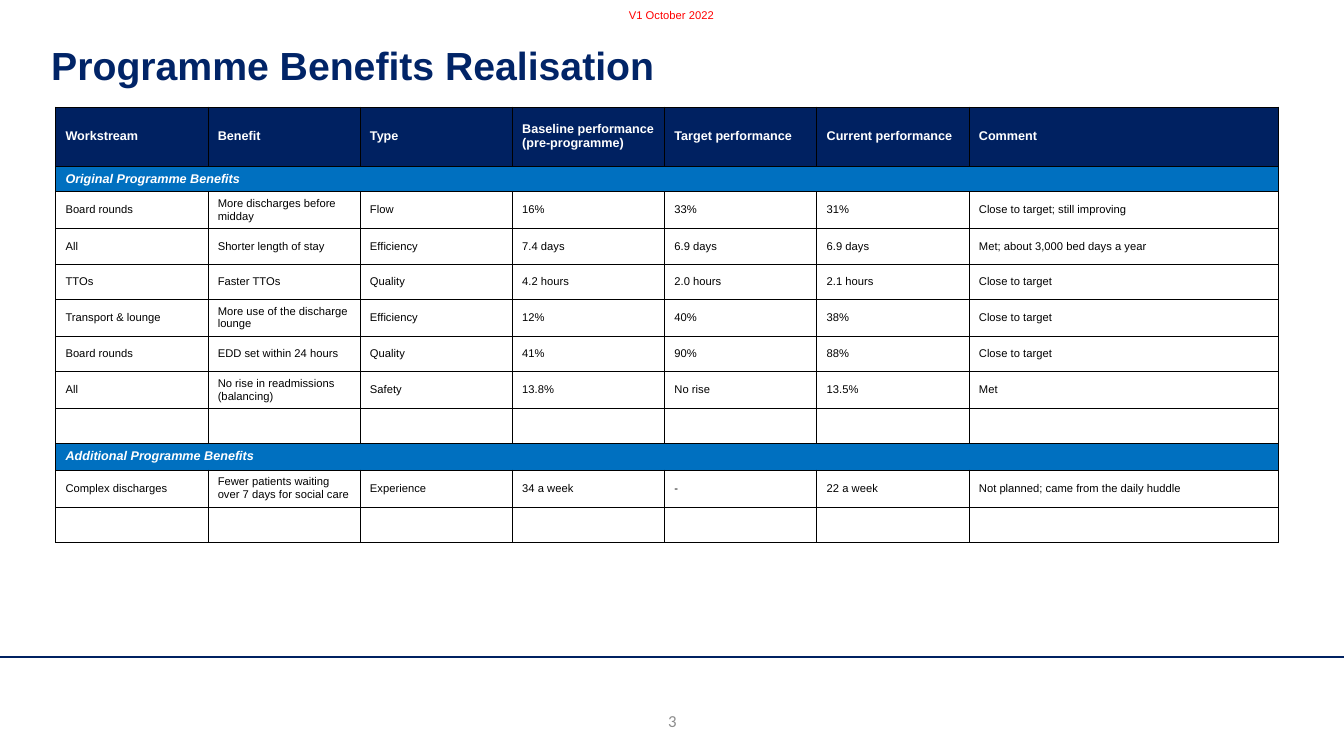
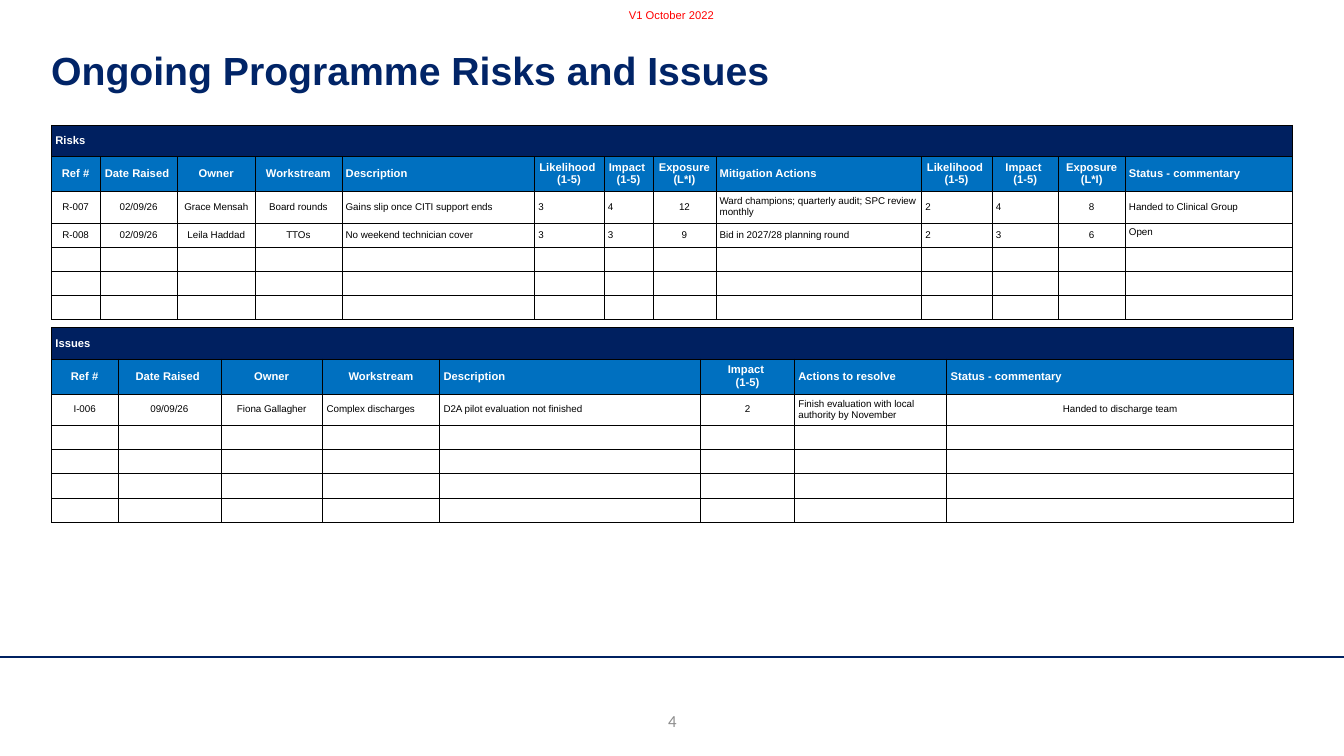
"""Build the programme benefits slide and the risks and issues slide."""
import pptx
import pptx.dml.color
import pptx.enum.shapes
import pptx.enum.text
import pptx.oxml
import pptx.oxml.ns
import pptx.util
from lxml import etree

Inches, Pt = pptx.util.Inches, pptx.util.Pt
RGB = pptx.dml.color.RGBColor
ALIGN = pptx.enum.text.PP_ALIGN
ANCHOR = pptx.enum.text.MSO_ANCHOR
qn = pptx.oxml.ns.qn

NAVY = RGB(0x00, 0x21, 0x61)
DEEP = RGB(0x00, 0x20, 0x60)
INK = RGB(0x01, 0x24, 0x67)
BLUE = RGB(0x00, 0x70, 0xC0)
WHITE = RGB(0xFF, 0xFF, 0xFF)
BLACK = RGB(0x00, 0x00, 0x00)
GREY = RGB(0x8C, 0x8C, 0x8C)
RED = RGB(0xFF, 0x00, 0x00)
SIDES = {"l": ALIGN.LEFT, "c": ALIGN.CENTER}

STYLES = {
    "head": (NAVY, WHITE, 9, True, False),
    "part": (BLUE, WHITE, 9, True, True),
    "body": (WHITE, BLACK, 8, False, False),
    "bar": (DEEP, WHITE, 8, True, False),
    "cols": (BLUE, WHITE, 8, True, False),
    "log": (WHITE, BLACK, 7, False, False),
}

GAINS = {
    "at": (0.55, 1.06),
    "cols": [1.51] * 6 + [3.07],
    "pad": (0.1, 0.05),
    "align": {},
    "rows": [
        ("head", 0.59, ["Workstream", "Benefit", "Type", "Baseline performance (pre-programme)",
                        "Target performance", "Current performance", "Comment"]),
        ("part", 0.24, ["Original Programme Benefits"]),
        ("body", 0.35, ["Board rounds", "More discharges before midday", "Flow",
                        "16%", "33%", "31%", "Close to target; still improving"]),
        ("body", 0.35, ["All", "Shorter length of stay", "Efficiency",
                        "7.4 days", "6.9 days", "6.9 days", "Met; about 3,000 bed days a year"]),
        ("body", 0.35, ["TTOs", "Faster TTOs", "Quality",
                        "4.2 hours", "2.0 hours", "2.1 hours", "Close to target"]),
        ("body", 0.35, ["Transport & lounge", "More use of the discharge lounge", "Efficiency",
                        "12%", "40%", "38%", "Close to target"]),
        ("body", 0.35, ["Board rounds", "EDD set within 24 hours", "Quality",
                        "41%", "90%", "88%", "Close to target"]),
        ("body", 0.35, ["All", "No rise in readmissions (balancing)", "Safety",
                        "13.8%", "No rise", "13.5%", "Met"]),
        ("body", 0.35, [""] * 7),
        ("part", 0.26, ["Additional Programme Benefits"]),
        ("body", 0.35, ["Complex discharges", "Fewer patients waiting over 7 days for social care",
                        "Experience", "34 a week", "-", "22 a week",
                        "Not planned; came from the daily huddle"]),
        ("body", 0.35, [""] * 7),
    ],
}

SCORES = ["Likelihood \n(1-5)", "Impact \n(1-5)", "Exposure\n(L*I)"]
START = ["Ref #", "Date Raised ", "Owner", "Workstream", "Description"]

RISKS = {
    "at": (0.51, 1.24),
    "cols": [0.48, 0.77, 0.77, 0.86, 1.91, 0.69, 0.49, 0.62, 2.04, 0.7, 0.66, 0.66, 1.66],
    "pad": (0.04, 0.04),
    "align": {"cols": "cccclccclcccl", "log": "cccclllclllcl"},
    "top": (3, 12),
    "rows": [
        ("bar", 0.31, ["Risks"]),
        ("cols", 0.33, START + SCORES + ["Mitigation Actions"] + SCORES + ["Status - commentary"]),
        ("log", 0.3, ["R-007", "02/09/26", "Grace Mensah", "Board rounds",
                      "Gains slip once CITI support ends", "3", "4", "12",
                      "Ward champions; quarterly audit; SPC review monthly",
                      "2", "4", "8", "Handed to Clinical Group"]),
        ("log", 0.24, ["R-008", "02/09/26", "Leila Haddad", "TTOs",
                       "No weekend technician cover", "3", "3", "9",
                       "Bid in 2027/28 planning round", "2", "3", "6", "Open"]),
    ] + [("log", 0.24, [""] * 13)] * 3,
}

ISSUES = {
    "at": (0.51, 3.25),
    "cols": [0.66, 1.02, 1.01, 1.16, 2.59, 0.93, 1.51, 3.44],
    "pad": (0.04, 0.04),
    "align": {"cols": "cccclcll", "log": "cccllclc"},
    "rows": [
        ("bar", 0.31, ["Issues"]),
        ("cols", 0.33, START + [SCORES[1], "Actions to resolve", "Status - commentary"]),
        ("log", 0.3, ["I-006", "09/09/26", "Fiona Gallagher", "Complex discharges",
                      "D2A pilot evaluation not finished", "2",
                      "Finish evaluation with local authority by November",
                      "Handed to discharge team"]),
    ] + [("log", 0.24, [""] * 8)] * 4,
}

SLIDES = [
    ("Programme Benefits Realisation", (0.41, 0.29, 11.85, 0.77), "3", [GAINS]),
    ("Ongoing Programme Risks and Issues", (0.41, 0.38, 11.85, 0.68), "4", [RISKS, ISSUES]),
]


def style(para, size, color, bold=False, italic=False, face="Arial"):
    for run in para.runs:
        font = run.font
        font.name, font.size = face, Pt(size)
        font.bold, font.italic = bold, italic
        font.color.rgb = color


def label(slide, box, text, size, color, align="c", anchor=ANCHOR.MIDDLE, **look):
    frame = slide.shapes.add_textbox(*map(Inches, box)).text_frame
    frame.word_wrap = True
    frame.vertical_anchor = anchor
    frame.text = text
    para = frame.paragraphs[0]
    para.alignment = SIDES[align]
    style(para, size, color, **look)
    return para


def rule(slide):
    line = slide.shapes.add_connector(pptx.enum.shapes.MSO_CONNECTOR.STRAIGHT,
                                      0, Inches(6.52), Inches(13.33), Inches(6.52))
    line.line.color.rgb = NAVY
    line.line.width = Pt(1)
    etree.SubElement(line._element.spPr, qn("a:effectLst"))


def border(cell):
    props = cell._tc.get_or_add_tcPr()
    for spot, side in enumerate("LRTB"):
        edge = etree.Element(qn("a:ln" + side), w=str(Pt(0.25)))
        fill = etree.SubElement(edge, qn("a:solidFill"))
        etree.SubElement(fill, qn("a:srgbClr"), val=str(BLACK))
        props.insert(spot, edge)


def fill_cell(cell, text, kind, align, anchor, pad):
    back, color, size, bold, italic = STYLES[kind]
    cell.fill.solid()
    cell.fill.fore_color.rgb = back
    border(cell)
    cell.margin_left = cell.margin_right = Inches(pad[0])
    cell.margin_top = cell.margin_bottom = Inches(pad[1])
    cell.vertical_anchor = anchor
    para = cell.text_frame.paragraphs[0]
    para.alignment = SIDES[align]
    if text:
        para.text = text
        style(para, size, color, bold, italic)
    else:
        etree.SubElement(para._p, qn("a:endParaRPr"), sz=str(size * 100))


def draw_table(slide, data):
    cols, rows = data["cols"], data["rows"]
    size = (sum(cols), sum(high for _, high, _ in rows))
    grid = slide.shapes.add_table(len(rows), len(cols), *map(Inches, data["at"] + size)).table
    grid.first_row = grid.horz_banding = False
    for col, wide in zip(grid.columns, cols):
        col.width = Inches(wide)
    for r, (kind, high, texts) in enumerate(rows):
        grid.rows[r].height = Inches(high)
        aligns = data["align"].get(kind, "l" * len(cols))
        if len(texts) == 1:
            grid.cell(r, 0).merge(grid.cell(r, len(cols) - 1))
        for c, align in enumerate(aligns):
            text = texts[c] if c < len(texts) else ""
            anchor = ANCHOR.TOP if (r, c) == data.get("top") else ANCHOR.MIDDLE
            fill_cell(grid.cell(r, c), text, kind, align, anchor, data["pad"])


def main():
    deck = pptx.Presentation()
    deck.slide_width, deck.slide_height = Inches(13.33), Inches(7.5)
    for title, box, number, tables in SLIDES:
        slide = deck.slides.add_slide(deck.slide_layouts[6])
        rule(slide)
        label(slide, box, title, 28, INK, "l", bold=True).line_spacing = 0.9
        label(slide, (5.62, 6.95, 2.1, 0.4), number, 12, GREY, face="Calibri")
        for data in tables:
            draw_table(slide, data)
        label(slide, (5.46, 0.03, 2.4, 0.24), "V1 October 2022", 8, RED, anchor=ANCHOR.TOP)
    deck.save("out.pptx")


if __name__ == "__main__":
    main()
